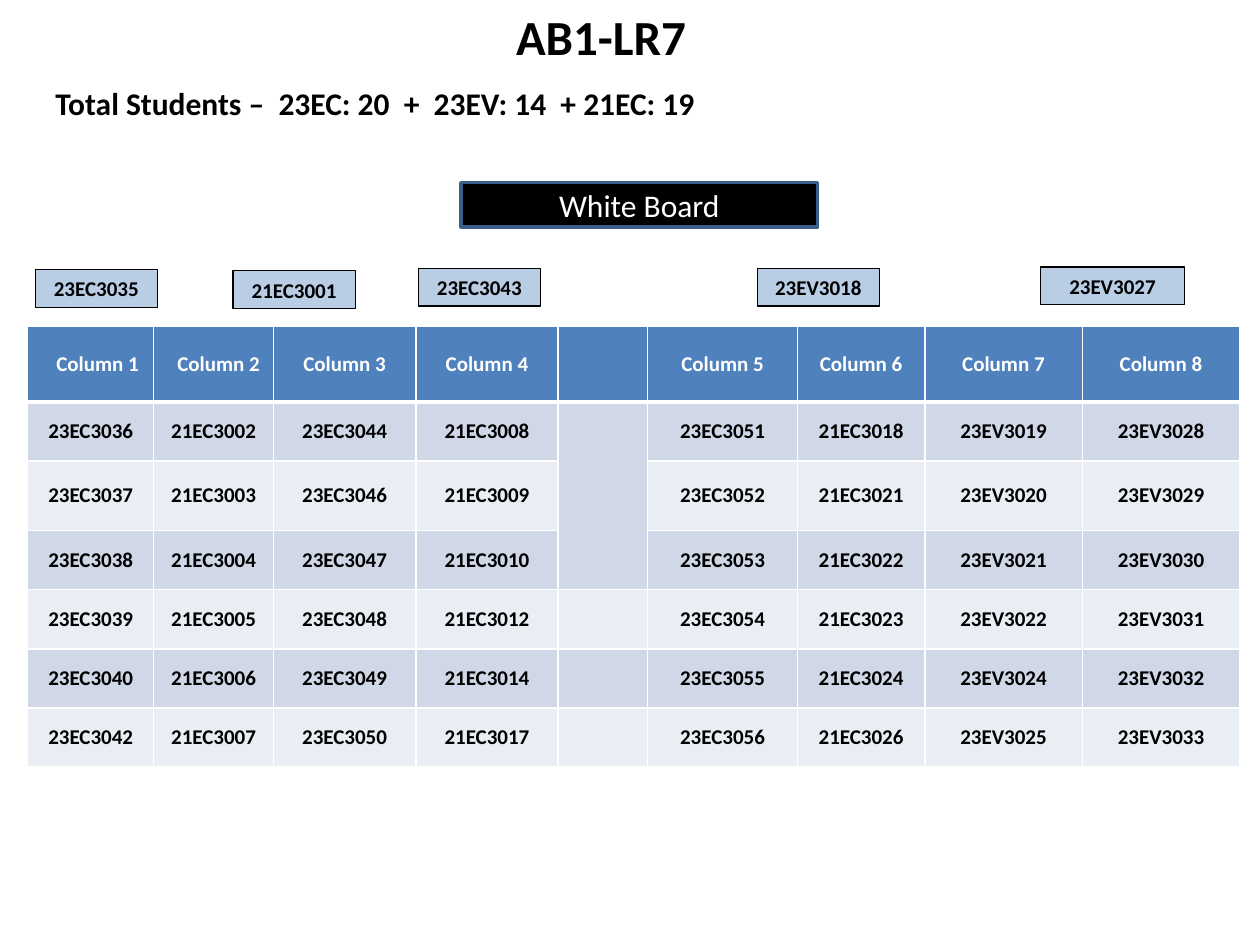
from lxml import etree
from pptx import Presentation
from pptx import util as u
from pptx.dml.color import RGBColor
from pptx.enum import shapes, text
from pptx.oxml import ns

COLORS = {
    "black": "000000",
    "white": "FFFFFF",
    "header": "4F81BD",
    "band_dark": "D0D8E8",
    "band_light": "E9EDF4",
    "board_edge": "3A5F8C",
    "seat": "B9CDE5",
}
GROW = {"auto_size": text.MSO_AUTO_SIZE.SHAPE_TO_FIT_TEXT}
MIDDLE = {"vertical_anchor": text.MSO_ANCHOR.MIDDLE}
TOP = {"vertical_anchor": text.MSO_ANCHOR.TOP}
TIGHT = {
    "margin_left": u.Inches(0.03),
    "margin_right": u.Inches(0.03),
    "margin_top": 0,
    "margin_bottom": 0,
}


def rgb(name):
    return RGBColor.from_string(COLORS[name])


def apply(target, formats):
    for name, value in formats.items():
        setattr(target, name, value)


class SeatingSlide:
    font = "Calibri"

    def __init__(self, slide):
        self.slide = slide

    def add_words(self, frame, words, size, color="black", bold=True, centered=True):
        paragraph = frame.paragraphs[0]
        paragraph.alignment = text.PP_ALIGN.CENTER if centered else text.PP_ALIGN.LEFT
        run = paragraph.add_run()
        run.text = words
        apply(run.font, {"name": self.font, "size": u.Pt(size), "bold": bold})
        run.font.color.rgb = rgb(color)

    def heading(self, area, words, size, centered=True, indent=0.1):
        frame = self.slide.shapes.add_textbox(*map(u.Inches, area)).text_frame
        apply(frame, {"word_wrap": True, "margin_left": u.Inches(indent), **GROW})
        self.add_words(frame, words, size, centered=centered)

    def label(self, area, words, size, fill, edge, width, color, bold, frame_format):
        box = self.slide.shapes.add_shape(
            shapes.MSO_SHAPE.RECTANGLE, *map(u.Inches, area)
        )
        box.shadow.inherit = False
        box.fill.solid()
        box.fill.fore_color.rgb = rgb(fill)
        box.line.color.rgb = rgb(edge)
        box.line.width = u.Pt(width)
        apply(box.text_frame, {"word_wrap": True, **frame_format})
        self.add_words(box.text_frame, words, size, color, bold)

    def borders(self, cell, bottom):
        properties = cell._tc.get_or_add_tcPr()
        for side, points in {"L": 1, "R": 1, "T": 1, "B": bottom}.items():
            edge = etree.SubElement(
                properties, ns.qn(f"a:ln{side}"), w=str(u.Pt(points))
            )
            fill = etree.SubElement(edge, ns.qn("a:solidFill"))
            etree.SubElement(fill, ns.qn("a:srgbClr"), val=COLORS["white"])

    def seating(self, left, top, widths, heights, rows, aisle, header_indents):
        grid = self.slide.shapes.add_table(
            len(rows),
            len(widths),
            *map(u.Inches, (left, top, sum(widths), sum(heights))),
        ).table
        for column, width in zip(grid.columns, widths):
            column.width = u.Inches(width)
        for row, height in zip(grid.rows, heights):
            row.height = u.Inches(height)
        for r, row in enumerate(rows):
            header = r == 0
            band = "header" if header else "band_dark" if r % 2 else "band_light"
            for c, words in enumerate(row):
                cell = grid.cell(r, c)
                self.borders(cell, 3 if header else 1)
                cell.fill.solid()
                cell.fill.fore_color.rgb = rgb(band)
                apply(cell, MIDDLE if header else {**MIDDLE, **TIGHT})
                if header and c in header_indents:
                    cell.margin_left = u.Inches(header_indents[c])
                if words:
                    color = "white" if header else "black"
                    self.add_words(cell.text_frame, words, 12, color)
        grid.cell(1, aisle).merge(grid.cell(3, aisle))


def main():
    deck = Presentation()
    apply(deck, {"slide_width": u.Inches(10), "slide_height": u.Inches(7.5)})
    room = SeatingSlide(deck.slides.add_slide(deck.slide_layouts[6]))

    aisle = 4
    seat_columns = [
        ("23EC", (3036, 3037, 3038, 3039, 3040, 3042)),
        ("21EC", (3002, 3003, 3004, 3005, 3006, 3007)),
        ("23EC", (3044, 3046, 3047, 3048, 3049, 3050)),
        ("21EC", (3008, 3009, 3010, 3012, 3014, 3017)),
        ("23EC", (3051, 3052, 3053, 3054, 3055, 3056)),
        ("21EC", (3018, 3021, 3022, 3023, 3024, 3026)),
        ("23EV", (3019, 3020, 3021, 3022, 3024, 3025)),
        ("23EV", (3028, 3029, 3030, 3031, 3032, 3033)),
    ]
    columns = [
        [f"Column {number}"] + [f"{batch}{roll}" for roll in rolls]
        for number, (batch, rolls) in enumerate(seat_columns, 1)
    ]
    columns.insert(aisle, [""] * 7)
    room.seating(
        0.22,
        2.59,
        [1, 0.95, 1.13, 1.13, 0.71, 1.19, 1.01, 1.25, 1.25],
        [0.6, 0.47, 0.55] + [0.47] * 4,
        list(zip(*columns)),
        aisle,
        {0: 0.21, 1: 0.18},
    )

    room.heading((-0.18, 0, 9.9, 0.57), "AB1-LR7", 28)
    room.label(
        (3.66, 1.45, 2.83, 0.35), "White Board", 18,
        "black", "board_edge", 2, "white", False, MIDDLE,
    )
    room.heading(
        (0.28, 0.62, 6.4, 0.4),
        "Total Students –  23EC: 20  +  23EV: 14  + 21EC: 19",
        18,
        centered=False,
        indent=0.16,
    )
    front_seats = [
        (0.28, 2.14, 0.97, "23EC3035"),
        (1.85, 2.15, 0.97, "21EC3001"),
        (3.32, 2.13, 0.97, "23EC3043"),
        (6.01, 2.13, 0.97, "23EV3018"),
        (8.26, 2.12, 1.14, "23EV3027"),
    ]
    for left, top, width, student in front_seats:
        room.label(
            (left, top, width, 0.3), student, 12,
            "seat", "black", 0.75, "black", True, {**TOP, **GROW},
        )
    deck.save("out.pptx")


if __name__ == "__main__":
    main()
